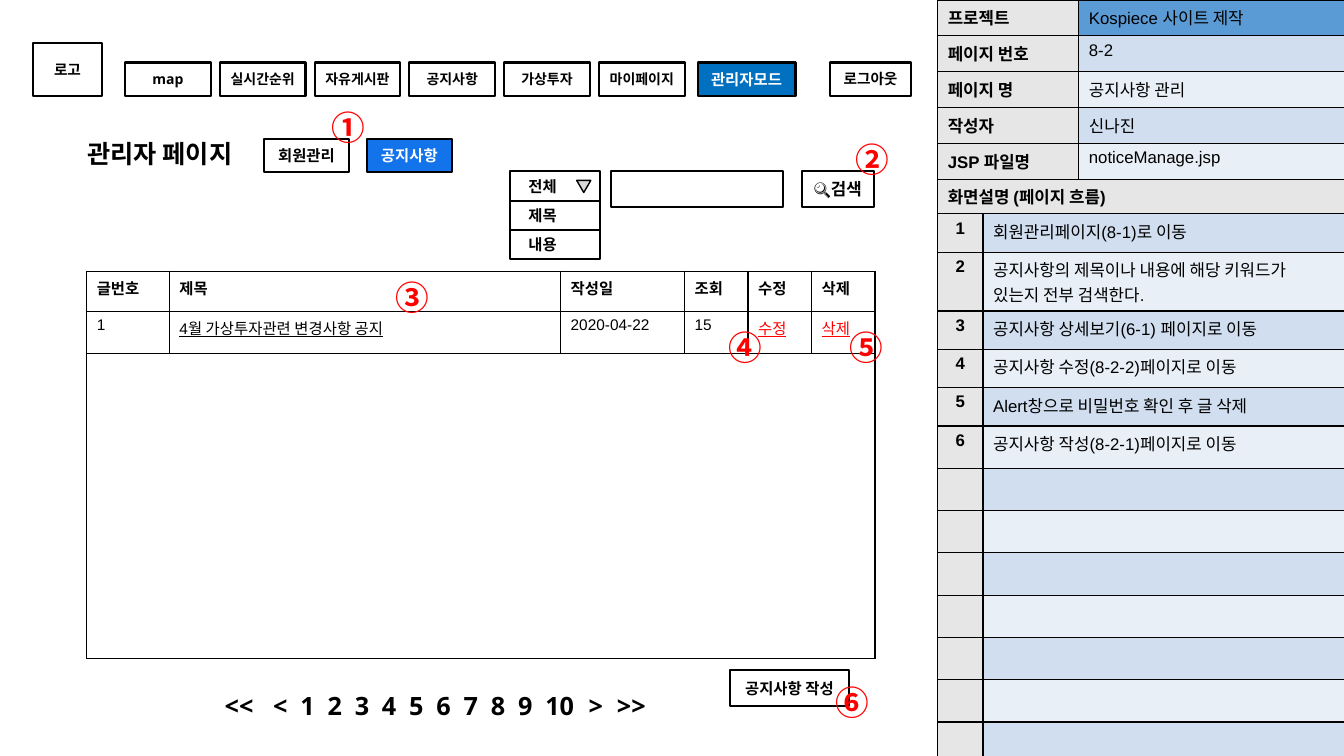
from collections import namedtuple

from lxml import etree
from pptx import Presentation
from pptx.dml.color import RGBColor
from pptx.enum.shapes import MSO_SHAPE as Shape
from pptx.enum.text import MSO_ANCHOR as Anchor, MSO_AUTO_SIZE as AutoSize, PP_ALIGN as Align
from pptx.oxml import parse_xml
from pptx.oxml.ns import nsdecls, qn
from pptx.util import Inches, Pt

BLACK = RGBColor(0x00, 0x00, 0x00)
WHITE = RGBColor(0xFF, 0xFF, 0xFF)
RED = RGBColor(0xFF, 0x00, 0x00)
LABEL_GREY = RGBColor(0xE7, 0xE6, 0xE6)
ARROW_GREY = RGBColor(0xD8, 0xD8, 0xD8)
HEAD_BLUE = RGBColor(0x5B, 0x9B, 0xD5)
BAND_DARK = RGBColor(0xD0, 0xDE, 0xEF)
BAND_LIGHT = RGBColor(0xE9, 0xEF, 0xF7)
MODE_BLUE = RGBColor(0x00, 0x70, 0xC0)
TAB_BLUE = RGBColor(0x12, 0x73, 0xEB)
SANS, TABLE_FONT, KOREAN = "Open Sans", "Arial", "Noto Sans CJK KR"

Box = namedtuple("Box", "left top width height")


def inside(area, left, top, width, height):
    return Box(area.left + left, area.top + top, width, height)


def style_text(paragraph, size, color=BLACK, bold=True, font=SANS, underline=False):
    for run in paragraph.runs:
        run.font.size, run.font.name = Pt(size), font
        run.font.bold, run.font.underline = bold, underline
        run.font.color.rgb = color
        east_asian = etree.SubElement(run._r.get_or_add_rPr(), qn("a:ea"))
        east_asian.set("typeface", KOREAN)


def add_outlined(slide, box, kind=Shape.RECTANGLE, fill=None, line=1.5):
    shape = slide.shapes.add_shape(kind, *map(Inches, box))
    shape.shadow.inherit = False
    if fill is None:
        shape.fill.background()
    else:
        shape.fill.solid()
        shape.fill.fore_color.rgb = fill
    shape.line.color.rgb = BLACK
    shape.line.width = Pt(line)
    return shape


def add_button(slide, box, label, size=11, fill=None, color=BLACK, align=Align.CENTER, indent=0):
    frame = add_outlined(slide, box, fill=fill).text_frame
    frame.margin_left = Inches(indent)
    frame.margin_right = frame.margin_top = frame.margin_bottom = 0
    frame.vertical_anchor = Anchor.MIDDLE
    frame.word_wrap = True
    frame.text = label
    frame.paragraphs[0].alignment = align
    style_text(frame.paragraphs[0], size, color)


def add_callout(slide, area, left, top, number):
    box = inside(area, left, top, 0.6, 0.5)
    frame = slide.shapes.add_textbox(*map(Inches, box)).text_frame
    frame.word_wrap = True
    frame.text = number
    style_text(frame.paragraphs[0], 24, RED, font=KOREAN)


def add_grid(slide, box, columns, rows):
    table = slide.shapes.add_table(len(rows), len(columns), *map(Inches, box)).table
    table.first_row = table.horz_banding = False
    for column, width in zip(table.columns, columns):
        column.width = Inches(width)
    for row, height in zip(table.rows, rows):
        row.height = Inches(height)
    return table


def fill_cell(cell, text, fill, size=12, align=Align.LEFT, **look):
    cell.text = text
    cell.fill.solid()
    cell.fill.fore_color.rgb = fill
    cell.text_frame.paragraphs[0].alignment = align
    style_text(cell.text_frame.paragraphs[0], size, font=TABLE_FONT, **look)
    properties = cell._tc.get_or_add_tcPr()
    for place, side in enumerate("LRTB"):
        properties.insert(place, parse_xml(
            f'<a:ln{side} {nsdecls("a")} w="12700"><a:solidFill>'
            f'<a:srgbClr val="{BLACK}"/></a:solidFill></a:ln{side}>'))


# Page details and flow notes on the right
def build_spec_panel(slide, area):
    details = [("프로젝트", "Kospiece 사이트 제작"), ("페이지 번호", "8-2"),
               ("페이지 명", "공지사항 관리"), ("작성자", "신나진"),
               ("JSP 파일명", "noticeManage.jsp")]
    summary = add_grid(slide, inside(area, 0, 0, area.width, 1.78),
                       [1.4, area.width - 1.4], [1.78 / 5] * 5)
    for row, (label, value) in enumerate(details):
        band = BAND_DARK if row % 2 else BAND_LIGHT
        fill_cell(summary.cell(row, 0), label, LABEL_GREY)
        fill_cell(summary.cell(row, 1), value, band if row else HEAD_BLUE, bold=False)

    notes = ["회원관리페이지(8-1)로 이동",
             "공지사항의 제목이나 내용에 해당 키워드가 있는지 전부 검색한다.",
             "공지사항 상세보기(6-1) 페이지로 이동",
             "공지사항 수정(8-2-2)페이지로 이동",
             "Alert창으로 비밀번호 확인 후 글 삭제",
             "공지사항 작성(8-2-1)페이지로 이동"]
    heights = [0.32, 0.38, 0.58, 0.38, 0.38, 0.38] + [0.42] * 8
    flow = add_grid(slide, inside(area, 0, 1.78, area.width, 5.72),
                    [0.45, area.width - 0.45], heights)
    for column, heading in enumerate(["화면설명 (페이지 흐름)", ""]):
        fill_cell(flow.cell(0, column), heading, LABEL_GREY)
    flow.cell(0, 0).merge(flow.cell(0, 1))
    for row in range(1, len(heights)):
        used = row <= len(notes)
        fill_cell(flow.cell(row, 0), str(row) if used else "", LABEL_GREY, align=Align.CENTER)
        fill_cell(flow.cell(row, 1), notes[row - 1] if used else "",
                  BAND_DARK if row % 2 else BAND_LIGHT, bold=False)


# Logo box and site menu
def build_menu(slide, area):
    add_button(slide, inside(area, 0, 0, 0.68, 0.52), "로고", 10.5)
    menu = ["map", "실시간순위", "자유게시판", "공지사항", "가상투자", "마이페이지"]
    for place, label in enumerate(menu):
        add_button(slide, inside(area, 0.91 + 0.94 * place, 0.19, 0.85, 0.33), label, 10)
    add_button(slide, inside(area, 6.59, 0.19, 0.97, 0.33), "관리자모드", 11, MODE_BLUE, WHITE)
    add_button(slide, inside(area, 7.9, 0.19, 0.81, 0.33), "로그아웃", 10.5)


# Page title and admin tabs
def build_heading(slide, area):
    title = slide.shapes.title
    title.left, title.top, title.width, title.height = map(
        Inches, inside(area, 0, 0, 1.81, 0.37))
    frame = title.text_frame
    frame.text = "관리자 페이지"
    frame.auto_size = AutoSize.NONE
    frame.word_wrap = True
    frame.vertical_anchor = Anchor.MIDDLE
    frame.paragraphs[0].alignment = Align.CENTER
    style_text(frame.paragraphs[0], 18)
    add_button(slide, inside(area, 1.94, 0.04, 0.84, 0.33), "회원관리", fill=WHITE)
    add_button(slide, inside(area, 2.96, 0.04, 0.84, 0.33), "공지사항", fill=TAB_BLUE, color=WHITE)
    add_callout(slide, area, 2.51, -0.33, "①")


# Search field with its open drop-down list
def build_search(slide, area):
    for place, option in enumerate(["전체", "제목", "내용"]):
        add_button(slide, inside(area, 0, 0.29 * place, 0.89, 0.29), option,
                   align=Align.LEFT, indent=0.18)
    arrow = add_outlined(slide, inside(area, 0.66, 0.09, 0.14, 0.12),
                         Shape.ISOSCELES_TRIANGLE, ARROW_GREY, 1)
    arrow.rotation = 180
    add_outlined(slide, inside(area, 1, 0, 1.71, 0.35))
    add_button(slide, inside(area, 2.89, 0, 0.72, 0.35), "🔍검색", 12)
    add_callout(slide, area, 3.33, -0.37, "②")


# Notice list
def build_notices(slide, area):
    headings = ["글번호", "제목", "작성일", "조회", "수정", "삭제"]
    notice = ["1", "4월 가상투자관련 변경사항 공지", "2020-04-22", "15", "수정", "삭제"]
    board = add_grid(slide, area, [0.82, 3.88, 1.23, 0.63, 0.63, 0.63], [0.4, 0.42, 3.02])
    for column, (heading, value) in enumerate(zip(headings, notice)):
        fill_cell(board.cell(0, column), heading, WHITE, 11)
        fill_cell(board.cell(1, column), value, WHITE, 11, bold=False,
                  color=RED if column > 3 else BLACK, underline=column in (1, 4, 5))
        fill_cell(board.cell(2, column), "", WHITE)
    board.cell(2, 0).merge(board.cell(2, 5))
    for left, top, number in [(2.96, 0.01, "③"), (6.27, 0.5, "④"), (7.47, 0.5, "⑤")]:
        add_callout(slide, area, left, top, number)


# Page numbers and write button
def build_footer(slide, area):
    pages = ["<<", "<", *map(str, range(1, 11)), ">", ">>"]
    stops = [0.48, *(0.75 + 0.27 * place for place in range(10)), 3.61, 3.89]
    box = inside(area, 0, 0.16, 4.88, 0.37)
    frame = slide.shapes.add_textbox(*map(Inches, box)).text_frame
    frame.word_wrap = True
    frame.vertical_anchor = Anchor.MIDDLE
    frame.text = "\t".join(pages)
    tabs = etree.SubElement(frame.paragraphs[0]._p.get_or_add_pPr(), qn("a:tabLst"))
    for stop in stops:
        etree.SubElement(tabs, qn("a:tab"), pos=str(Inches(stop)), algn="l")
    style_text(frame.paragraphs[0], 18)
    add_button(slide, inside(area, 5.11, 0, 1.18, 0.35), "공지사항 작성")
    add_callout(slide, area, 6.06, 0.07, "⑥")


def main():
    deck = Presentation()
    deck.slide_width, deck.slide_height = Inches(13.33), Inches(7.5)
    slide = deck.slides.add_slide(deck.slide_layouts[5])
    build_spec_panel(slide, Box(9.3, 0, 4.04, 7.5))
    build_menu(slide, Box(0.33, 0.43, 8.71, 0.52))
    build_heading(slide, Box(0.68, 1.34, 3.8, 0.37))
    build_search(slide, Box(5.06, 1.7, 3.61, 0.87))
    build_notices(slide, Box(0.86, 2.69, 7.83, 3.85))
    build_footer(slide, Box(2.13, 6.65, 6.29, 0.53))
    deck.save("out.pptx")


if __name__ == "__main__":
    main()
